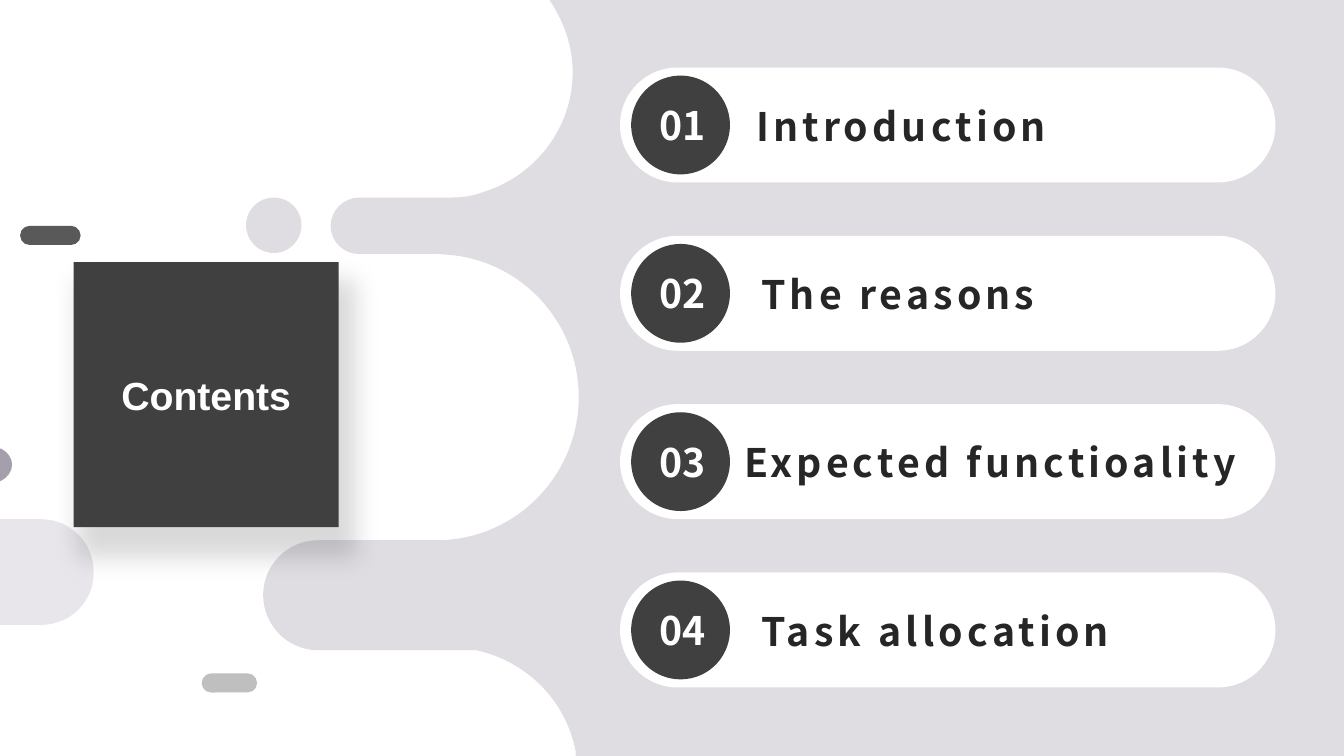
from lxml import etree
from pptx import Presentation
from pptx import util as u
from pptx.dml.color import RGBColor
from pptx.enum import shapes, text
from pptx.oxml.ns import qn

MAUVE, DARK, WHITE, INK = "A59FAD", "404040", "FFFFFF", "262626"
CJK = "Noto Sans CJK SC"

# Two numbers are a straight step, six are a cubic curve.
WAVE = [
    (5.45, 0), (13.33, 0), (13.33, 7.5), (5.71, 7.5), (5.71, 7.46),
    (5.62, 6.96, 5.23, 6.56, 4.72, 6.45), (3.15, 6.45),
    (2.85, 6.45, 2.61, 6.2, 2.61, 5.9), (2.61, 5.61, 2.85, 5.36, 3.15, 5.36),
    (4.33, 5.36), (5.11, 5.36, 5.74, 4.72, 5.74, 3.94),
    (5.74, 3.21, 5.19, 2.6, 4.47, 2.53), (4.33, 2.52), (3.56, 2.52),
    (3.41, 2.52, 3.28, 2.4, 3.28, 2.24), (3.28, 2.09, 3.41, 1.96, 3.56, 1.96),
    (4.47, 1.96), (4.57, 1.96, 4.66, 1.95, 4.75, 1.92), (4.81, 1.9),
    (5.31, 1.74, 5.68, 1.27, 5.68, 0.72), (5.68, 0.45, 5.59, 0.21, 5.45, 0),
]
EDGE_DOT = [
    (0, 4.45), (0.01, 4.45), (0.07, 4.48, 0.12, 4.54, 0.12, 4.61),
    (0.12, 4.68, 0.07, 4.74, 0.01, 4.77), (0, 4.77),
]
EDGE_TAB = [
    (0, 5.15), (0.4, 5.15), (0.7, 5.15, 0.93, 5.38, 0.93, 5.68),
    (0.93, 5.97, 0.7, 6.2, 0.4, 6.2), (0, 6.2),
]


def colour(target, value):
    target.rgb = RGBColor.from_string(value)


def paint(shape, fill, opacity=100):
    shape.shadow.inherit = False
    shape.fill.solid()
    colour(shape.fill.fore_color, fill)
    shape.line.fill.background()
    if opacity < 100:
        tone = shape.fill._xPr.find(qn("a:solidFill"))[0]
        etree.SubElement(tone, qn("a:alpha"), val=str(opacity * 1000))


def add_preset(page, kind, box, fill, opacity=100):
    shape = page.shapes.add_shape(kind, *map(u.Inches, box))
    if kind == shapes.MSO_SHAPE.ROUNDED_RECTANGLE:
        shape.adjustments[0] = 0.5
    paint(shape, fill, opacity)
    return shape


def add_outline(page, steps, fill, opacity=100):
    """Draw the steps as straight lines, then bend those that have handles."""
    ends = [tuple(map(u.Inches, step[-2:])) for step in steps]
    builder = page.shapes.build_freeform(*ends[0])
    builder.add_line_segments(ends[1:], close=True)
    shape = builder.convert_to_shape()
    lines = list(shape._element.iter(qn("a:lnTo")))
    for line, step in zip(lines, steps[1:]):
        if len(step) == 6:
            line.tag = qn("a:cubicBezTo")
            for place, (x, y) in enumerate((step[:2], step[2:4])):
                handle = etree.Element(qn("a:pt"), x=str(u.Inches(x) - shape.left),
                                       y=str(u.Inches(y) - shape.top))
                line.insert(place, handle)
    paint(shape, fill, opacity)


def write(shape, words, font, tone, align, inset=0, wrap=True, spacing=0):
    frame = shape.text_frame
    frame.text = words
    frame.word_wrap = wrap
    frame.auto_size = text.MSO_AUTO_SIZE.NONE
    frame.vertical_anchor = text.MSO_ANCHOR.MIDDLE
    frame.margin_left = u.Inches(inset)
    frame.margin_top = frame.margin_right = frame.margin_bottom = 0
    para = frame.paragraphs[0]
    para.alignment = align
    span = para.runs[0]
    span.font.name, span.font.size, span.font.bold = font, u.Pt(28), True
    colour(span.font.color, tone)
    if spacing:
        span.font._element.set("spc", str(spacing * 100))


def add_backdrop(page):
    oval, pill = shapes.MSO_SHAPE.OVAL, shapes.MSO_SHAPE.ROUNDED_RECTANGLE
    add_outline(page, WAVE, MAUVE, 35)
    add_preset(page, oval, (2.44, 1.96, 0.55, 0.55), MAUVE, 35)
    add_outline(page, EDGE_DOT, MAUVE)
    add_outline(page, EDGE_TAB, MAUVE, 25)
    add_preset(page, pill, (0.2, 2.24, 0.6, 0.19), "595959")
    add_preset(page, pill, (2, 6.68, 0.55, 0.19), "BFBFBF")


def add_title(page, box):
    title = page.shapes.title
    title.left, title.top, title.width, title.height = map(u.Inches, box)
    geometry = etree.SubElement(title._element.spPr, qn("a:prstGeom"), prst="ellipse")
    etree.SubElement(geometry, qn("a:avLst"))
    title.fill.solid()
    colour(title.fill.fore_color, DARK)
    write(title, "Contents", "Arial", WHITE, text.PP_ALIGN.CENTER)
    effects = etree.SubElement(title._element.spPr, qn("a:effectLst"))
    shadow = etree.SubElement(effects, qn("a:outerShdw"), blurRad=str(u.Pt(18)),
                              dist=str(u.Pt(3)), dir="5400000",
                              sx="105000", sy="105000", algn="tl", rotWithShape="0")
    black = etree.SubElement(shadow, qn("a:srgbClr"), val="000000")
    etree.SubElement(black, qn("a:alpha"), val="15000")
    # The title stands in front of the backdrop.
    page.shapes._spTree.append(title._element)


def add_entry(page, box, number, words, indent):
    left, top, width, height = box
    add_preset(page, shapes.MSO_SHAPE.ROUNDED_RECTANGLE, box, WHITE)
    badge = add_preset(page, shapes.MSO_SHAPE.OVAL,
                       (left + 0.11, top + 0.08, 0.98, 0.98), DARK)
    write(badge, f"{number:02}", CJK, WHITE, text.PP_ALIGN.CENTER, 0.04, wrap=False)
    label = page.shapes.add_textbox(u.Inches(left + indent), u.Inches(top + 0.3),
                                    u.Inches(width - indent - 0.24),
                                    u.Inches(height - 0.59))
    write(label, words, CJK, INK, text.PP_ALIGN.LEFT, spacing=3)


def main():
    deck = Presentation()
    deck.slide_width, deck.slide_height = u.Inches(13.33), u.Inches(7.5)
    page = deck.slides.add_slide(deck.slide_layouts[5])
    add_backdrop(page)
    add_title(page, (0.73, 2.6, 2.63, 2.63))
    entries = [("Introduction", 1.35), ("The reasons", 1.4),
               ("Expected functioality", 1.23), ("Task allocation", 1.4)]
    for row, (words, indent) in enumerate(entries):
        add_entry(page, (6.15, 0.67 + 1.67 * row, 6.5, 1.14), row + 1, words, indent)
    deck.save("out.pptx")


if __name__ == "__main__":
    main()
